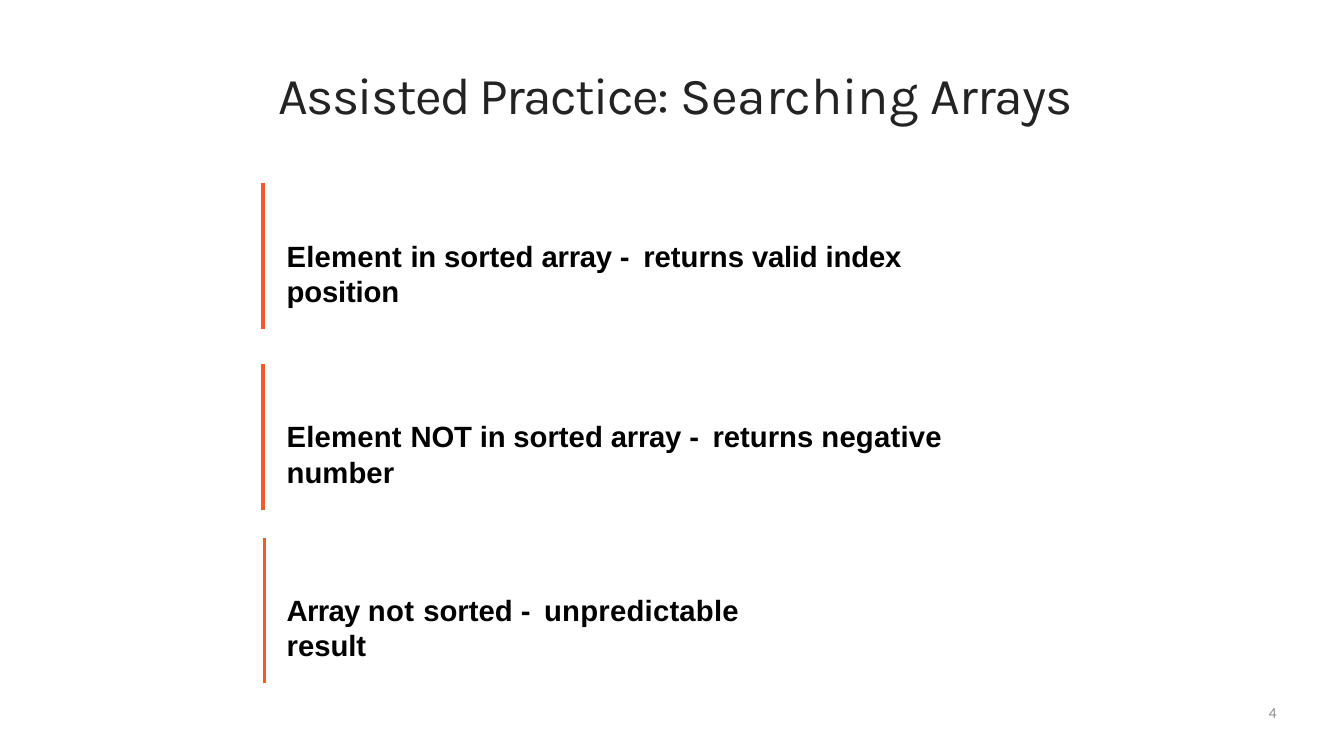
from dataclasses import dataclass

from lxml import etree
from pptx import Presentation
from pptx import util as u
from pptx.dml.color import RGBColor
from pptx.enum import shapes, text
from pptx.oxml import ns


@dataclass(frozen=True)
class Theme:
    title: dict
    body: dict
    page: dict
    bar: RGBColor
    weight: float


def style(name, size, color, bold=False):
    return {"name": name, "size": u.Pt(size), "bold": bold,
            "color": RGBColor.from_string(color)}


THEME = Theme(
    title=style("Karla", 61, "232323"),
    body=style("Arial", 34.5, "000000", True),
    page=style("Calibri", 18, "8C8C8C"),
    bar=RGBColor.from_string("F15B2A"),
    weight=4.12,
)

TITLE = [("Assisted Practice: ", -1.9), ("Searching ", -0.1), ("Arrays", -1.1)]

# Each case: bar left, top, text width, words with their letter spacing in points
CASES = [
    (4.3, 3, 11.98, [
        ("Element ", 0.3), ("in ", -0.3), ("sorted ", 0), ("array ", -0.3),
        ("- ", 3.2), ("returns ", 0), ("valid ", -0.3), ("index ", -0.1),
        ("position", -0.2)]),
    (4.3, 5.96, 12.57, [
        ("Element ", 0.3), ("NOT ", -0.2), ("in ", -0.3), ("sorted ", 0),
        ("array ", -0.3), ("- ", 3.2), ("returns ", 0), ("negative ", 0.3),
        ("number", 0.1)]),
    (4.33, 8.8, 8.81, [
        ("Array ", -0.8), ("not ", 0.6), ("sorted ", 0), ("- ", 3.2),
        ("unpredictable ", 0.3), ("result", 0)]),
]
TEXT_LEFT = 4.69
TEXT_DROP = 0.87
BAR_HEIGHT = 2.38


def write(slide, box, words, look, align=text.PP_ALIGN.LEFT, inset=0):
    """Add one paragraph of (word, letter spacing) pairs in the given box."""
    frame = slide.shapes.add_textbox(*map(u.Inches, box)).text_frame
    margins = {"margin_left": 0, "margin_right": 0, "margin_bottom": 0,
               "margin_top": u.Inches(inset), "word_wrap": True}
    for key, value in margins.items():
        setattr(frame, key, value)
    para = frame.paragraphs[0]
    para.alignment = align
    for word, gap in words:
        run = para.add_run()
        run.text = word
        for key, value in look.items():
            if key == "color":
                run.font.color.rgb = value
            else:
                setattr(run.font, key, value)
        run._r.get_or_add_rPr().set("spc", str(round(gap * 100)))


def draw_bar(slide, left, top, height):
    ends = map(u.Inches, (left, top, left, top + height))
    bar = slide.shapes.add_connector(shapes.MSO_CONNECTOR.STRAIGHT, *ends)
    bar.line.color.rgb = THEME.bar
    bar.line.width = u.Pt(THEME.weight)
    etree.SubElement(bar._element.spPr, ns.qn("a:effectLst"))


def draw_case(slide, left, top, width, words):
    draw_bar(slide, left, top, BAR_HEIGHT)
    box = (TEXT_LEFT, top + TEXT_DROP, width, 0.61)
    write(slide, box, words, THEME.body, inset=0.02)


def main():
    deck = Presentation()
    deck.slide_width, deck.slide_height = u.Inches(21.99), u.Inches(12.37)
    slide = deck.slides.add_slide(deck.slide_layouts[6])
    write(slide, (3.66, 1.02, 14.79, 1.04), TITLE, THEME.title,
          text.PP_ALIGN.CENTER, 0.01)
    for case in CASES:
        draw_case(slide, *case)
    write(slide, (15.83, 11.5, 5.06, 0.62), [("4", 0)], THEME.page,
          text.PP_ALIGN.RIGHT)
    deck.save("out.pptx")


if __name__ == "__main__":
    main()
